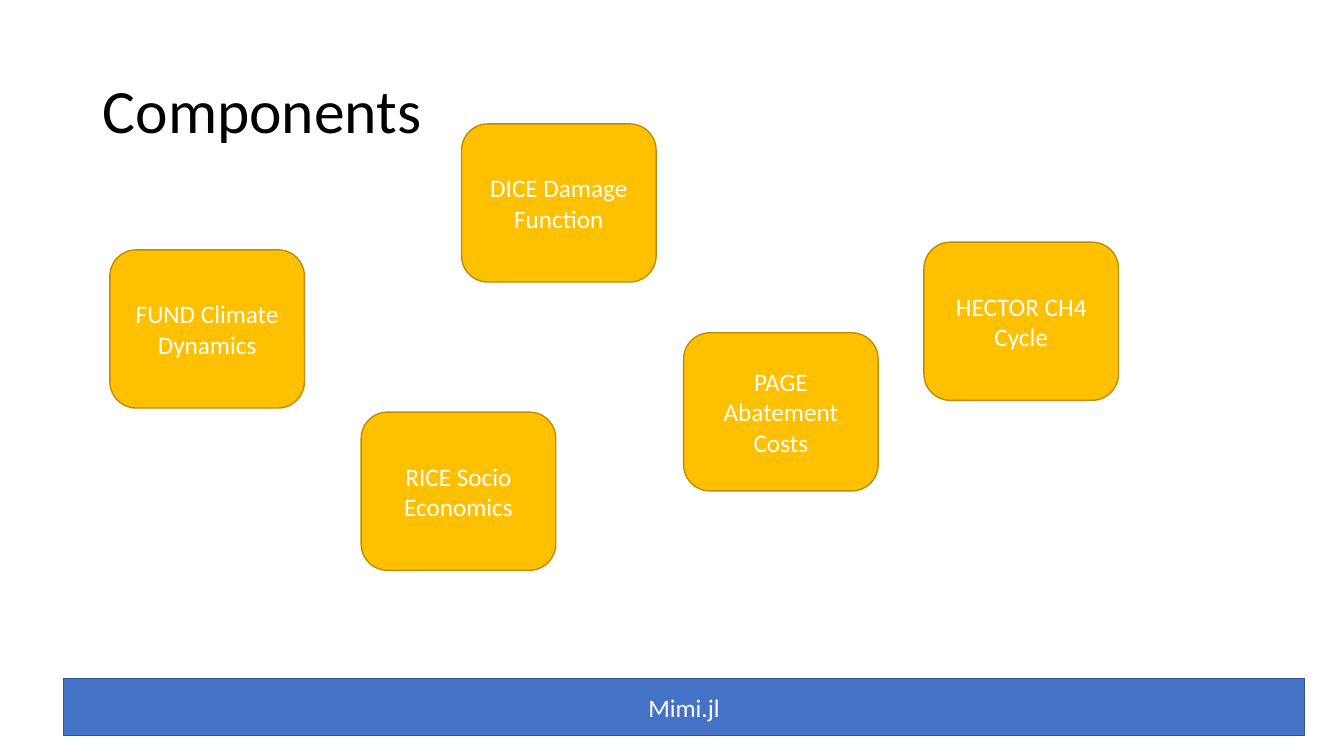
from dataclasses import dataclass

from pptx import Presentation
from pptx.dml.color import RGBColor
from pptx.enum.shapes import MSO_SHAPE
from pptx.enum.text import MSO_ANCHOR, PP_ALIGN
from pptx.shapes.autoshape import Shape
from pptx.slide import Slide
from pptx.util import Pt


@dataclass(frozen=True)
class Theme:
    font: str = "Calibri"
    title_size: float = 44
    label_size: float = 18
    line_width: float = 1
    black: str = "000000"
    white: str = "FFFFFF"
    gold: str = "FFC000"
    gold_edge: str = "BD8E00"
    blue: str = "4472C4"
    blue_edge: str = "325491"


@dataclass(frozen=True)
class Block:
    label: str
    left: float
    top: float
    width: float = 139
    height: float = 113
    kind: MSO_SHAPE = MSO_SHAPE.ROUNDED_RECTANGLE
    fill: str = Theme.gold
    edge: str = Theme.gold_edge


THEME = Theme()

PLATFORM = Block("Mimi.jl", 45.4, 484.6, 886.3, 41,
                 MSO_SHAPE.RECTANGLE, THEME.blue, THEME.blue_edge)
COMPONENTS = [
    Block("FUND Climate Dynamics", 78.5, 178.5),
    Block("DICE Damage Function", 329.7, 88.5),
    Block("PAGE Abatement Costs", 488.3, 237.7),
    Block("HECTOR CH4 Cycle", 660, 173),
    Block("RICE Socio Economics", 258, 294.4),
]


def write_text(box: Shape, text: str, size: float, color: str,
               align: PP_ALIGN, spacing: float = 1.0) -> None:
    """Fill a shape with one vertically centred paragraph."""
    frame = box.text_frame
    frame.word_wrap = True
    frame.vertical_anchor = MSO_ANCHOR.MIDDLE
    para = frame.paragraphs[0]
    para.alignment = align
    para.line_spacing = spacing
    span = para.add_run()
    span.text = text
    span.font.color.rgb = RGBColor.from_string(color)
    for name, value in {"name": THEME.font, "size": Pt(size)}.items():
        setattr(span.font, name, value)


def add_title(page: Slide, text: str) -> None:
    """Place the title placeholder and write the heading."""
    title = page.shapes.title
    bounds = {"left": 66.2, "top": 28.8, "width": 828, "height": 104.4}
    for name, value in bounds.items():
        setattr(title, name, Pt(value))
    write_text(title, text, THEME.title_size, THEME.black, PP_ALIGN.LEFT, 0.9)


def add_block(page: Slide, block: Block) -> None:
    """Draw one labelled block."""
    box = page.shapes.add_shape(block.kind, Pt(block.left), Pt(block.top),
                                Pt(block.width), Pt(block.height))
    box.shadow.inherit = False
    box.fill.solid()
    box.fill.fore_color.rgb = RGBColor.from_string(block.fill)
    box.line.color.rgb = RGBColor.from_string(block.edge)
    box.line.width = Pt(THEME.line_width)
    write_text(box, block.label, THEME.label_size, THEME.white, PP_ALIGN.CENTER)


# Deck and page
deck = Presentation()
deck.slide_width, deck.slide_height = Pt(960), Pt(540)
page = deck.slides.add_slide(deck.slide_layouts.get_by_name("Title Only"))

# Heading, platform bar and components
add_title(page, "Components")
for block in [PLATFORM, *COMPONENTS]:
    add_block(page, block)

deck.save("out.pptx")
